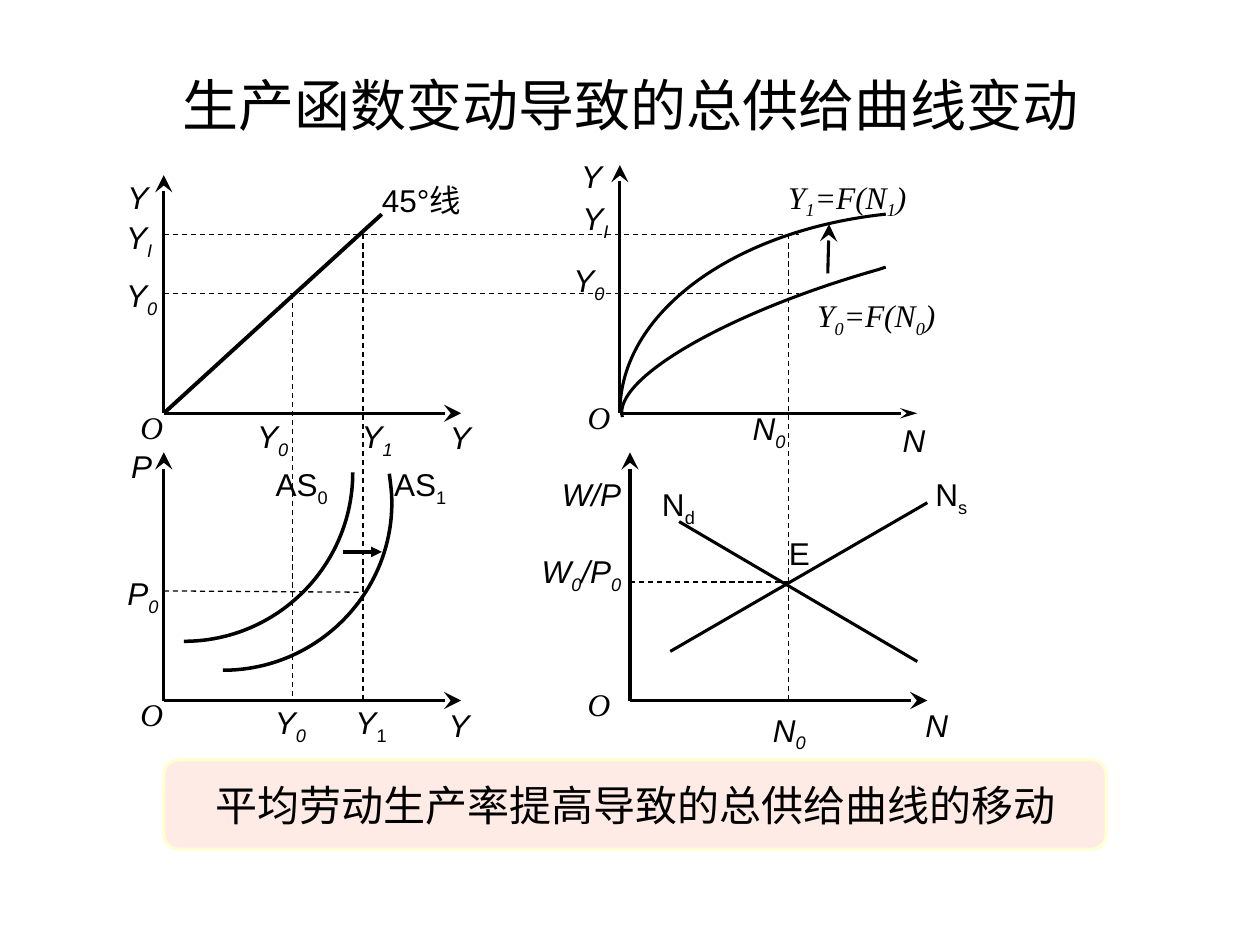
import pptx
import pptx.util
import pptx.dml.color
import pptx.enum.dml
import pptx.enum.shapes
import pptx.enum.text
import pptx.oxml.ns
import lxml.etree

Inches = pptx.util.Inches
Pt = pptx.util.Pt
qn = pptx.oxml.ns.qn


def color(hex_text):
    return pptx.dml.color.RGBColor.from_string(hex_text)


def write(frame, text, size=18, font="Arial", italic=False, italic_sub=None):
    frame.word_wrap = False
    frame.vertical_anchor = pptx.enum.text.MSO_ANCHOR.MIDDLE
    paragraph = frame.paragraphs[0]
    paragraph.alignment = pptx.enum.text.PP_ALIGN.CENTER
    base, *rest = text.split("_")
    pieces = [(base, False)]
    for part in rest:
        pieces += [(part[:1], True), (part[1:], False)]
    for piece, lowered in pieces:
        if not piece:
            continue
        run = paragraph.add_run()
        run.text = piece
        slanted = italic_sub if lowered and italic_sub is not None else italic
        formats = {"size": Pt(size), "name": font, "italic": slanted}
        for name, value in formats.items():
            setattr(run.font, name, value)
        run.font.color.rgb = color("000000")
        if lowered:
            run._r.get_or_add_rPr().set("baseline", "-25000")


deck = pptx.Presentation()
deck.slide_width, deck.slide_height = Inches(10), Inches(7.5)
slide = deck.slides.add_slide(deck.slide_layouts[6])
shapes = slide.shapes

title = shapes.add_textbox(Inches(0.51), Inches(0.36), Inches(9), Inches(0.94))
write(title.text_frame, "生产函数变动导致的总供给曲线变动", 32)

large_arrow = {"type": "stealth", "w": "lg", "len": "lg"}
narrow_arrow = {"type": "stealth", "w": "med", "len": "lg"}
shift_arrow = {"type": "triangle"}
axis_length = 2.36
origins = [
    (1.3, 3.28, 1.39, large_arrow),
    (4.92, 3.28, 1.31, narrow_arrow),
    (1.3, 5.56, 3.59, large_arrow),
    (5, 5.56, 3.59, large_arrow),
]
lines = []
for x, y, top, arrow in origins:
    lines.append((x, y, x + axis_length, y, 1.75, None, arrow))
    lines.append((x, y, x, top, 1.75, None, large_arrow))

guides = [
    (1.3, 2.33, 6.34, 2.33),
    (6.26, 1.86, 6.26, 5.56),
    (1.3, 1.86, 6.34, 1.86),
    (2.32, 2.33, 2.32, 5.56),
    (2.88, 1.86, 2.88, 5.56),
    (1.3, 4.69, 2.87, 4.7),
    (6.26, 4.62, 5, 4.62),
]
dash = pptx.enum.dml.MSO_LINE.DASH
lines += [(*ends, 0.75, dash, None) for ends in guides]
lines += [
    (1.3, 3.28, 3.03, 1.7, 2.25, None, None),
    (5.39, 4.14, 7.28, 5.25, 1.75, None, None),
    (5.32, 5.17, 7.36, 3.99, 1.75, None, None),
    (2.72, 4.38, 3.03, 4.38, 2, None, shift_arrow),
    (6.57, 2.17, 6.58, 1.78, 1.75, None, large_arrow),
]
for x1, y1, x2, y2, width, dash_style, arrow in lines:
    connector = shapes.add_connector(
        pptx.enum.shapes.MSO_CONNECTOR.STRAIGHT,
        Inches(x1), Inches(y1), Inches(x2), Inches(y2),
    )
    connector.line.color.rgb = color("000000")
    formats = {"width": Pt(width), "dash_style": dash_style}
    for name, value in formats.items():
        setattr(connector.line, name, value)
    if arrow:
        outline = connector.line._get_or_add_ln()
        lxml.etree.SubElement(outline, qn("a:tailEnd"), arrow)
    lxml.etree.SubElement(connector._element.spPr, qn("a:effectLst"))

curves = [
    (1.75, [(7.03, 1.7), (5.81, 1.83), (4.92, 2.49), (4.92, 3.27)]),
    (1.75, [(4.94, 3.31), (4.86, 3.01), (5.77, 2.48), (6.97, 2.14),
            (6.99, 2.13), (7.01, 2.13), (7.03, 2.12)]),
    (2, [(1.46, 5.09), (2.2, 5.09), (2.8, 4.49), (2.8, 3.75)]),
    (2, [(1.77, 5.32), (2.51, 5.32), (3.11, 4.72), (3.11, 3.99),
         (3.11, 3.91), (3.1, 3.84), (3.09, 3.76)]),
]
for width, points in curves:
    start, *controls = [(Inches(x), Inches(y)) for x, y in points]
    builder = shapes.build_freeform(*start)
    builder.add_line_segments(controls, close=False)
    curve = builder.convert_to_shape()
    curve.shadow.inherit = False
    curve.fill.background()
    curve.line.color.rgb = color("000000")
    curve.line.width = Pt(width)
    segments = curve._element.xpath(".//a:lnTo")
    outline = segments[0].getparent()
    for first in range(0, len(segments), 3):
        bezier = lxml.etree.SubElement(outline, qn("a:cubicBezTo"))
        for segment in segments[first:first + 3]:
            bezier.append(segment[0])
            outline.remove(segment)

rounded = pptx.enum.shapes.MSO_SHAPE.ROUNDED_RECTANGLE
serif = "Times New Roman"
slanted = {"italic": True}
origin_style = {"italic": True, "font": serif}
labels = [
    (0.87, 1.78, 0.47, 0.24, "Y_I", slanted),
    (3.11, 1.47, 0.47, 0.24, "45°线", {}),
    (7.13, 5.64, 0.61, 0.22, "N", slanted),
    (1.93, 3.36, 0.47, 0.24, "Y_0", slanted),
    (2.16, 3.36, 1.67, 0.24, "Y_1", slanted),
    (4.49, 1.63, 0.47, 0.24, "Y_I", slanted),
    (6.42, 1.47, 0.61, 0.22, "Y_1=F(N_1)", origin_style),
    (6.65, 2.41, 0.61, 0.22, "Y_0=F(N_0)", origin_style),
    (0.82, 2.25, 0.61, 0.22, "Y_0", slanted),
    (0.82, 3.59, 0.61, 0.22, "P", slanted),
    (4.45, 3.2, 0.61, 0.22, "O", origin_style),
    (5.08, 3.91, 0.61, 0.22, "N_d", {}),
    (4.37, 3.83, 0.65, 0.18, "W/P", slanted),
    (6.97, 3.83, 1.16, 0.22, "N_s", {}),
    (2, 5.64, 0.61, 0.22, "Y_0", slanted),
    (4.45, 5.48, 0.61, 0.22, "O", origin_style),
    (0.9, 5.56, 0.61, 0.22, "O", origin_style),
    (0.9, 3.28, 0.61, 0.22, "O", origin_style),
    (6.02, 4.3, 0.65, 0.18, "E", {}),
    (6.93, 3.4, 0.65, 0.18, "N", slanted),
    (5.94, 5.72, 0.65, 0.18, "N_0", slanted),
    (4.37, 1.31, 0.65, 0.18, "Y", slanted),
    (0.77, 1.47, 0.65, 0.18, "Y", slanted),
    (0.83, 4.62, 0.61, 0.22, "P_0", slanted),
    (2.09, 3.75, 0.61, 0.22, "AS_0", {}),
    (3.03, 3.75, 0.61, 0.22, "AS_1", {}),
    (2.64, 5.64, 0.61, 0.22, "Y_1", {"italic": True, "italic_sub": False}),
    (3.34, 5.64, 0.61, 0.22, "Y", slanted),
    (3.35, 3.36, 0.61, 0.22, "Y", slanted),
    (4.29, 4.46, 0.65, 0.18, "W_0/P_0", slanted),
]
for left, top, width, height, text, style in labels:
    label = shapes.add_shape(
        rounded, Inches(left), Inches(top), Inches(width), Inches(height)
    )
    label.shadow.inherit = False
    label.fill.background()
    label.line.fill.background()
    write(label.text_frame, text, **style)

for left, top, width, text in [(4.45, 2.02, 0.45, "Y_0"), (5.87, 3.2, 0.47, "N_0")]:
    mark = shapes.add_textbox(Inches(left), Inches(top), Inches(width), Inches(0.44))
    write(mark.text_frame, text, italic=True)

conclusion = shapes.add_shape(
    rounded, Inches(1.3), Inches(6.03), Inches(7.48), Inches(0.71)
)
conclusion.shadow.inherit = False
conclusion.fill.solid()
conclusion.fill.fore_color.rgb = color("FFEBE5")
conclusion.line.color.rgb = color("FFFFD1")
conclusion.line.width = Pt(1.75)
write(conclusion.text_frame, "平均劳动生产率提高导致的总供给曲线的移动", 24)

deck.save("out.pptx")
